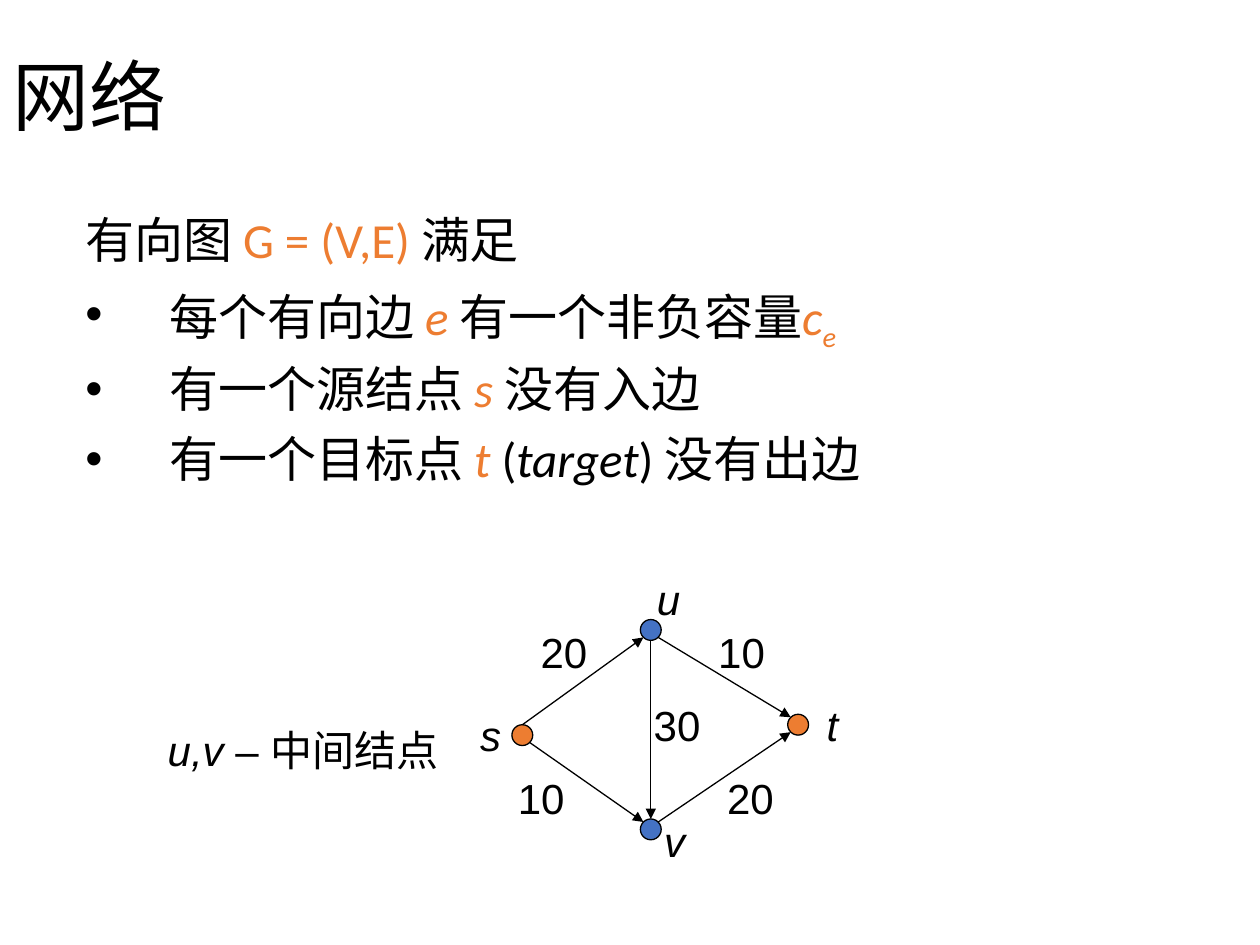
from lxml import etree
from pptx import Presentation
from pptx.dml.color import RGBColor
from pptx.enum.shapes import MSO_CONNECTOR, MSO_SHAPE
from pptx.enum.text import MSO_ANCHOR, PP_ALIGN
from pptx.oxml.ns import qn
from pptx.util import Cm, Pt

STRAIGHT = MSO_CONNECTOR.STRAIGHT
ELLIPSE = MSO_SHAPE.OVAL
TOP, MIDDLE = MSO_ANCHOR.TOP, MSO_ANCHOR.MIDDLE
LEFT, CENTER = PP_ALIGN.LEFT, PP_ALIGN.CENTER

BLACK, ORANGE, BLUE = "000000", "ED7D31", "4472C4"
DIAGONAL = 0.71


def colour(code):
    return RGBColor.from_string(code)


class NetworkSlide:
    body_font = "Calibri"
    label_font = "Arial"
    label_size = 24
    label_height = 1.27
    node_size = 0.42
    line_width = 0.75
    hanging = 1.7

    def __init__(self, deck):
        self.page = deck.slides.add_slide(deck.slide_layouts[6])

    def frame(self, left, top, width, height, anchor, wrap=True):
        box = self.page.shapes.add_textbox(Cm(left), Cm(top), Cm(width), Cm(height))
        box.text_frame.word_wrap = wrap
        box.text_frame.vertical_anchor = anchor
        return box.text_frame

    def set_spans(self, para, spans, font, size, align=LEFT):
        para.alignment = align
        para.font.name = font
        para.font.size = Pt(size)
        for text, code, italic, baseline in spans:
            span = para.add_run()
            span.text = text
            span.font.color.rgb = colour(code)
            if italic:
                span.font.italic = True
            if baseline:
                span._r.get_or_add_rPr().set("baseline", str(baseline * 1000))

    def title(self, text):
        para = self.frame(0, 0.43, 23.29, 3.18, MIDDLE).paragraphs[0]
        para.line_spacing = 0.9
        self.set_spans(para, [(text, BLACK, False, 0)], self.body_font, 44)

    def body(self, lines):
        frame = self.frame(1.47, 4.24, 23.93, 9.96, TOP)
        for index, spans in enumerate(lines):
            para = frame.add_paragraph() if index else frame.paragraphs[0]
            if index:
                self.bullet(para)
                para.space_before = Pt(10)
            para.line_spacing = 0.9
            self.set_spans(para, spans, self.body_font, 28)

    def bullet(self, para):
        props = para._p.get_or_add_pPr()
        props.set("marL", str(Cm(self.hanging)))
        props.set("indent", str(-Cm(self.hanging)))
        etree.SubElement(props, qn("a:buFont")).set("typeface", "Arial")
        etree.SubElement(props, qn("a:buChar")).set("char", "•")

    def node(self, x, y, fill):
        size = self.node_size
        dot = self.page.shapes.add_shape(
            ELLIPSE, Cm(x - size / 2), Cm(y - size / 2), Cm(size), Cm(size))
        dot.shadow.inherit = False
        dot.fill.solid()
        dot.fill.fore_color.rgb = colour(fill)
        dot.line.color.rgb = colour(BLACK)
        dot.line.width = Pt(self.line_width)

    def edge(self, start, start_side, end, end_side):
        radius = self.node_size / 2
        points = [Cm(centre + radius * shift)
                  for node, side in ((start, start_side), (end, end_side))
                  for centre, shift in zip(node, side)]
        arrow = self.page.shapes.add_connector(STRAIGHT, *points)
        arrow.line.color.rgb = colour(BLACK)
        arrow.line.width = Pt(self.line_width)
        outline = arrow.line._get_or_add_ln()
        etree.SubElement(outline, qn("a:tailEnd")).set("type", "triangle")
        etree.SubElement(arrow._element.spPr, qn("a:effectLst"))

    def label(self, x, y, spans, width, wrap=False):
        height = self.label_height
        frame = self.frame(x - width / 2, y - height / 2, width, height, MIDDLE, wrap)
        self.set_spans(frame.paragraphs[0], spans, self.label_font, self.label_size, CENTER)


def plain(text):
    return text, BLACK, False, 0


def symbol(text, code=ORANGE, baseline=0):
    return text, code, True, baseline


def main():
    deck = Presentation()
    deck.slide_width, deck.slide_height = Cm(25.4), Cm(19.05)
    slide = NetworkSlide(deck)

    slide.title("网络")
    slide.body([
        [plain("有向图 "), ("G = (V,E) ", ORANGE, False, 0), plain("满足")],
        [plain("每个有向边 "), symbol("e "), plain("有一个非负容量"),
         symbol("c"), symbol("e", baseline=-25)],
        [plain("有一个源结点 "), symbol("s "), plain("没有入边")],
        [plain("有一个目标点 "), symbol("t"), plain(" ("),
         symbol("target", BLACK), plain(") 没有出边")],
    ])

    s, u, t, v = (10.53, 14.82), (13.12, 12.7), (16.09, 14.61), (13.12, 16.72)
    for centre, fill in ((s, ORANGE), (u, BLUE), (t, ORANGE), (v, BLUE)):
        slide.node(*centre, fill)

    top, bottom = (0, -1), (0, 1)
    upper_left, upper_right = (-DIAGONAL, -DIAGONAL), (DIAGONAL, -DIAGONAL)
    lower_left, lower_right = (-DIAGONAL, DIAGONAL), (DIAGONAL, DIAGONAL)
    slide.edge(u, lower_right, t, upper_left)
    slide.edge(s, top, u, lower_left)
    slide.edge(s, lower_right, v, upper_left)
    slide.edge(v, upper_right, t, lower_left)
    slide.edge(u, bottom, v, top)

    for x, y, capacity in ((11.37, 13.13, "20"), (14.95, 13.13, "10"),
                           (13.65, 14.6, "30"), (10.91, 16.08, "10"),
                           (15.13, 16.08, "20")):
        slide.label(x, y, [plain(capacity)], 1.45)
    for x, y, name in ((9.89, 14.81, "s"), (13.47, 12.07, "u"),
                       (16.78, 14.6, "t"), (13.6, 16.94, "v")):
        slide.label(x, y, [symbol(name, BLACK)], 0.95)
    slide.label(6.11, 15.11, [symbol("u,v", BLACK), plain(" – 中间结点")], 5.97, wrap=True)

    deck.save("out.pptx")


if __name__ == "__main__":
    main()
